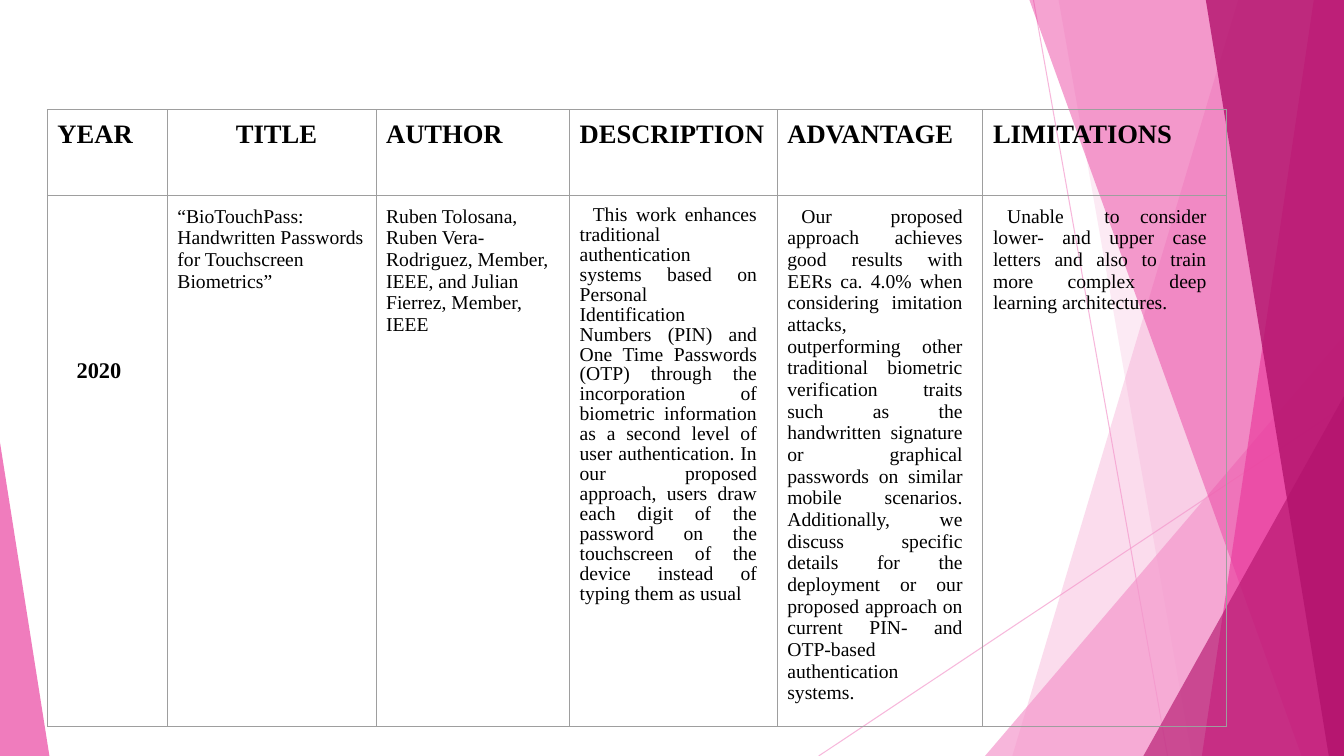
"""Build a literature survey slide: one table over pink angular facets."""
from lxml.etree import SubElement
from pptx import Presentation
from pptx.dml.color import RGBColor
from pptx.enum.shapes import MSO_CONNECTOR, MSO_SHAPE
from pptx.enum.text import PP_ALIGN
from pptx.oxml import parse_xml
from pptx.oxml.ns import nsdecls, qn
from pptx.util import Inches, Pt

W, H = 13.33, 7.5
LIGHT, PINK, DARK = "F496CB", "EA3C9E", "B2126C"


def rgb(color):
    return RGBColor.from_string(color)


def tint(sp, fill, color, alpha):
    fill.solid()
    fill.fore_color.rgb = rgb(color)
    for clr in sp._element.spPr.iter(qn("a:srgbClr")):
        SubElement(clr, qn("a:alpha"), val=str(alpha * 1000))


prs = Presentation()
prs.slide_width, prs.slide_height = Inches(W), Inches(H)
s = prs.slides.add_slide(prs.slide_layouts[6])

for x1, y1, x2, y2 in [(10.25, 0, 11.58, H), (W, 4.03, 8.12, H)]:
    ln = s.shapes.add_connector(MSO_CONNECTOR.STRAIGHT, Inches(x1), Inches(y1),
                                Inches(x2), Inches(y2))
    ln.line.width = Pt(0.75)
    tint(ln, ln.line.fill, LIGHT, 67)
    SubElement(ln._element.spPr, qn("a:effectLst"))

facets = [
    ("band", (12.28, 10.04), LIGHT, 33),
    ("band", (10.5, 11.82), LIGHT, 20),
    ("triangle", (9.77, 3.33, 3.56, 1), LIGHT, 69),
    ("band", (10.21, 12.91), PINK, 47),
    ("band", (13.03, 11.92), PINK, 67),
    ("band", (11.96, 13.18), DARK, 80),
    ("triangle", (11.34, 3.93, 1.99, 1), DARK, 63),
    ("triangle", (0, 4.39, 0.49, 0), PINK, 67),
]
for kind, geometry, color, alpha in facets:
    if kind == "band":
        top_x, bottom_x = geometry
        fb = s.shapes.build_freeform(Inches(top_x), 0)
        fb.add_line_segments([(Inches(x), Inches(y)) for x, y in
                              [(W, 0), (W, H), (bottom_x, H)]])
        sp = fb.convert_to_shape()
    else:
        x, y, width, apex = geometry
        sp = s.shapes.add_shape(MSO_SHAPE.ISOSCELES_TRIANGLE, Inches(x), Inches(y),
                                Inches(width), Inches(H - y))
        sp.adjustments[0] = apex
    sp.line.fill.background()
    sp.shadow.inherit = False
    tint(sp, sp.fill, color, alpha)

cols = [1.19, 2.07, 1.92, 2.06, 2.04, 2.42]
rows = [0.85, 5.27]
head = {"size": Pt(19), "bold": True}
body = {"size": Pt(14), "bold": False}
year = {"size": Pt(16), "bold": True}
justified = {"alignment": PP_ALIGN.JUSTIFY, "line_spacing": 1.0}
tight = {"alignment": PP_ALIGN.JUSTIFY, "line_spacing": 0.92}
wide_right = {"margin_right": Inches(0.2)}

cells = [
    [(["YEAR"], head, {}, {}, 0),
     (["TITLE"], head, {}, {}, 0.58),
     (["AUTHOR"], head, {}, {}, 0),
     (["DESCRIPTION"], head, {}, {}, 0),
     (["ADVANTAGE"], head, {}, {}, 0),
     (["LIMITATIONS"], head, {}, {}, 0)],
    [(["2020"], year, {}, {"margin_top": Inches(1.62)}, 0.19),
     (["“BioTouchPass: Handwritten Passwords", "for Touchscreen Biometrics”"],
      body, {}, {}, 0),
     (["Ruben Tolosana, Ruben Vera-Rodriguez, Member, IEEE, and Julian Fierrez, "
       "Member, IEEE"], body, {}, {}, 0),
     (["This work enhances traditional authentication systems based on Personal "
       "Identification Numbers (PIN) and One Time Passwords (OTP) through the "
       "incorporation of biometric information as a second level of user "
       "authentication. In our proposed approach, users draw each digit of the "
       "password on the touchscreen of the device instead of typing them as usual"],
      body, tight, wide_right, 0.13),
     (["Our proposed approach achieves good results with EERs ca. 4.0% when "
       "considering imitation attacks, outperforming other traditional biometric "
       "verification traits such as the handwritten signature or graphical passwords "
       "on similar mobile scenarios. Additionally, we discuss specific details for "
       "the deployment or our proposed approach on current PIN- and OTP-based "
       "authentication systems."], body, justified, wide_right, 0.14),
     (["Unable  to consider lower- and upper case letters and also to train more "
       "complex deep learning architectures."], body, justified, wide_right, 0.14)],
]

table = s.shapes.add_table(len(rows), len(cols), Inches(0.47), Inches(1.09),
                           Inches(sum(cols)), Inches(sum(rows))).table
table.first_row = table.horz_banding = False
for col, width in zip(table.columns, cols):
    col.width = Inches(width)
for row, height, contents in zip(table.rows, rows, cells):
    row.height = Inches(height)
    for cell, (lines, font, para, margins, indent) in zip(row.cells, contents):
        sides = ("left", "right", "top", "bottom")
        insets = {f"margin_{side}": Inches(0.1) for side in sides} | margins
        for name, value in insets.items():
            setattr(cell, name, value)
        cell.fill.background()
        tcPr = cell._tc.get_or_add_tcPr()
        for i, side in enumerate("LRTB"):
            tcPr.insert(i, parse_xml(
                f'<a:ln{side} {nsdecls("a")} w="{Pt(0.75)}"><a:solidFill>'
                f'<a:srgbClr val="9E9E9E"/></a:solidFill></a:ln{side}>'))
        tf = cell.text_frame
        for i, line in enumerate(lines):
            p = tf.paragraphs[0] if i == 0 else tf.add_paragraph()
            for name, value in para.items():
                setattr(p, name, value)
            p._p.get_or_add_pPr().set("indent", str(Inches(indent)))
            r = p.add_run()
            r.text = line
            for name, value in ({"name": "Times New Roman"} | font).items():
                setattr(r.font, name, value)
            r.font.color.rgb = rgb("000000")

prs.save("out.pptx")
